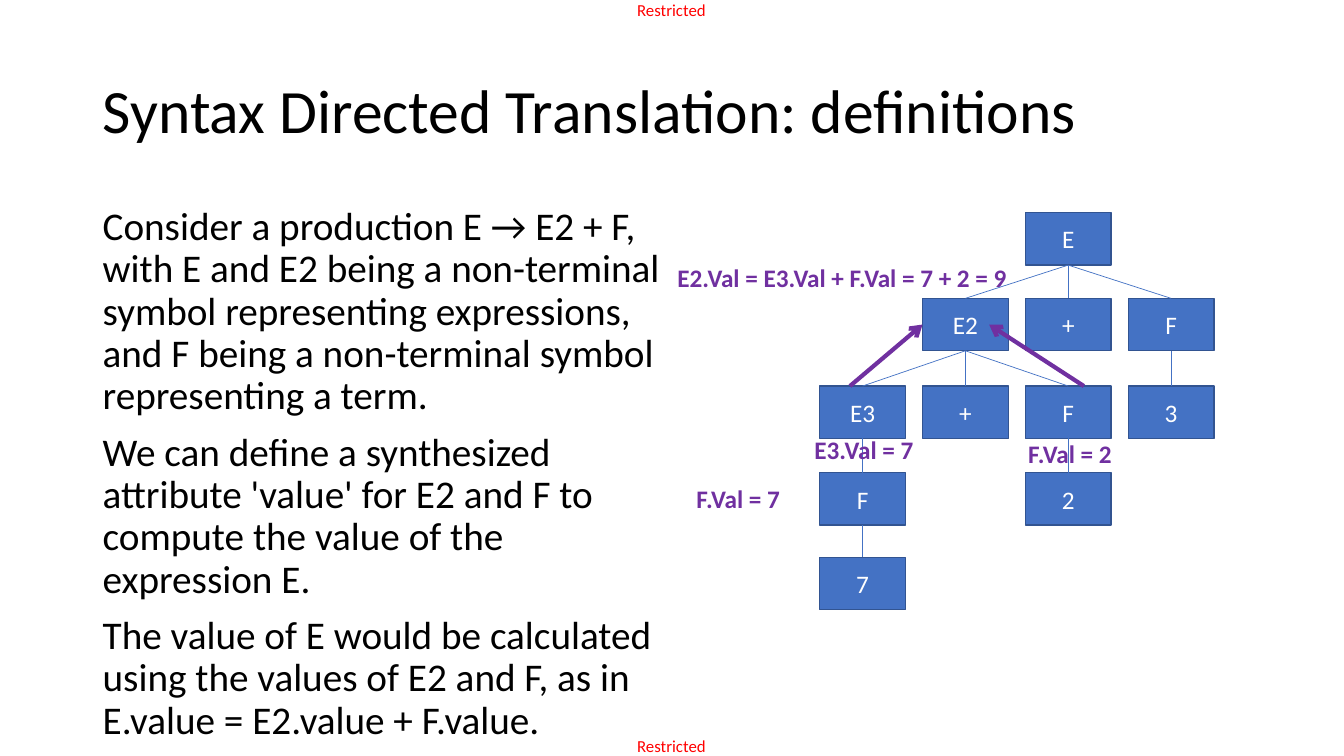
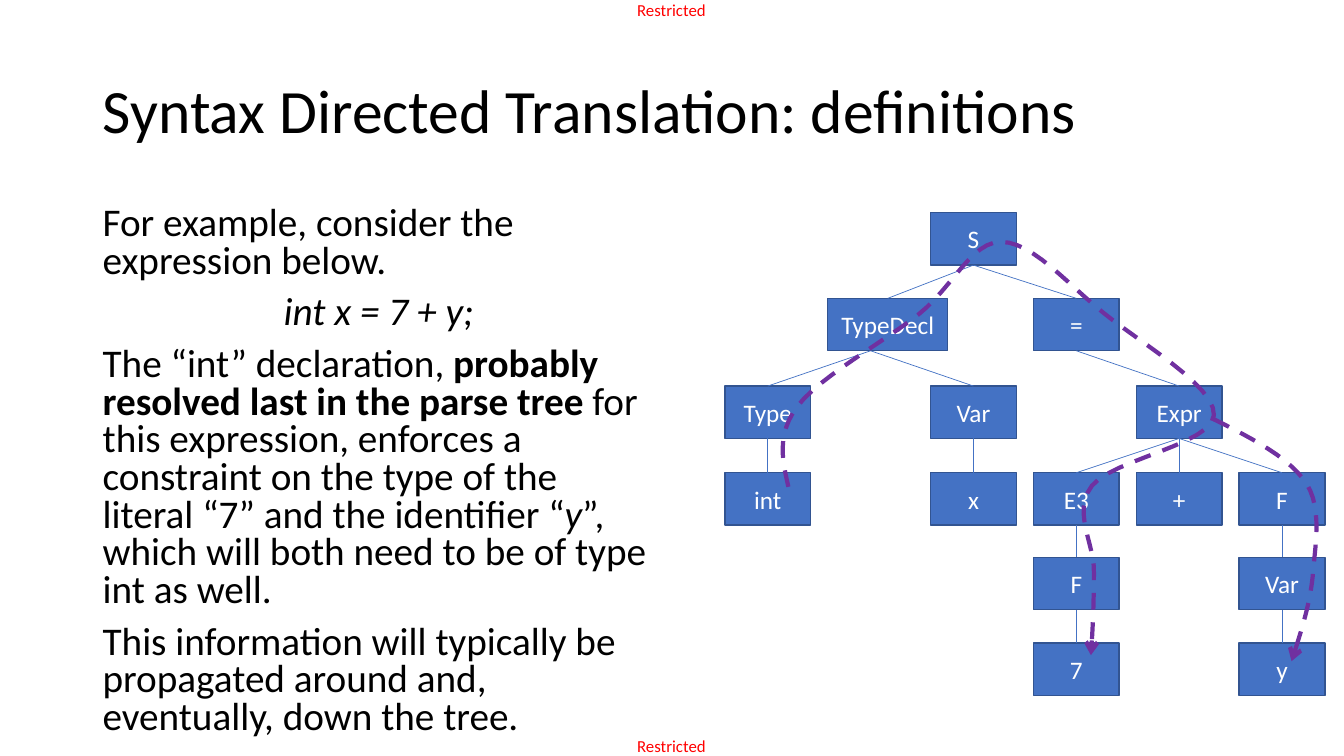
from lxml import etree
from pptx import Presentation, util as u
from pptx.dml.color import RGBColor
from pptx.enum import dml, shapes, text
from pptx.oxml.ns import qn

hues = {"ink": "000000", "node": "4472C4", "edge": "325491",
        "white": "FFFFFF", "flow": "7030A0", "red": "FF0000"}
left, mid = text.PP_ALIGN.LEFT, text.PP_ALIGN.CENTER
wide, high = 0.85, 0.52
step = 1.02
rows = [2.11, 2.96, 3.83, 4.69, 5.53, 6.38]
inch = u.Inches


def write(shape, paras, size, hue, align=left, space=1, gap=0, marks="", **frame):
    tf = shape.text_frame
    for key, val in frame.items():
        setattr(tf, key, val)
    for n, runs in enumerate(paras):
        para = tf.paragraphs[0] if n == 0 else tf.add_paragraph()
        form = {"alignment": align, "line_spacing": space,
                "space_before": u.Pt(gap if n else 0)}
        for key, val in form.items():
            setattr(para, key, val)
        for part in [(runs, marks)] if isinstance(runs, str) else runs:
            if part == mid:
                para.alignment = mid
                continue
            run = para.add_run()
            run.text = part[0]
            font = {"name": "Calibri", "size": u.Pt(size),
                    "bold": "b" in part[1], "italic": "i" in part[1]}
            for key, val in font.items():
                setattr(run.font, key, val)
            run.font.color.rgb = RGBColor.from_string(hues[hue])


def stroke(shape, hue, width, dash=None, arrow=False):
    shape.line.color.rgb = RGBColor.from_string(hues[hue])
    shape.line.width = u.Pt(width)
    if dash:
        shape.line.dash_style = dash
    props = shape.element.spPr
    if arrow:
        etree.SubElement(props.find(qn("a:ln")), qn("a:tailEnd"), type="arrow")
    if props.find(qn("a:effectLst")) is None:
        etree.SubElement(props, qn("a:effectLst"))


pages = [
    {"width": 5.88, "space": 0.9, "start": 8.13,
     "body": [
         "Consider a production E → E2 + F, with E and E2 being a non-terminal symbol representing expressions, and F being a non-terminal symbol representing a term.",
         "We can define a synthesized attribute 'value' for E2 and F to compute the value of the expression E.",
         "The value of E would be calculated using the values of E2 and F, as in E.value = E2.value + F.value."],
     "tree": [("E", 2, 0, None), ("E2", 1, 1, 0), ("+", 2, 1, 0), ("F", 3, 1, 0),
              ("E3", 0, 2, 1), ("+", 1, 2, 1), ("F", 2, 2, 1), ("3", 3, 2, 3),
              ("F", 0, 3, 4), ("7", 0, 4, 8), ("2", 2, 3, 6)],
     "rises": [((10.75, 3.83), (9.81, 3.22), None),
               ((8.43, 3.83), (9.15, 3.22), 1)],
     "notes": [("F.Val = 7", 6.81, 4.75, 1.03), ("F.Val = 2", 10.1, 4.3, 1.03),
               ("E3.Val = 7", 7.98, 4.26, 1.4),
               ("E2.Val = E3.Val + F.Val = 7 + 2 = 9", 6.62, 2.55, 3.62)],
     "curves": []},
    {"width": 5.67, "space": 0.8, "start": 7.19,
     "body": [
         "For example, consider the expression below.",
         [mid, ("int x = 7 + y;", "i")],
         [("The “int” declaration, ", ""),
          ("probably resolved last in the parse tree ", "b"),
          ("for this expression, enforces a constraint on the type of the literal “7” and the identifier “", ""),
          ("y", "i"),
          ("”, which will both need to be of type int as well.", "")],
         "This information will typically be propagated around and, eventually, down the tree."],
     "tree": [("S", 2, 0, None), ("TypeDecl", 1, 1, 0), ("=", 3, 1, 0),
              ("Type", 0, 2, 1), ("Var", 2, 2, 1), ("int", 0, 3, 3), ("x", 2, 3, 4),
              ("Expr", 4, 2, 2), ("E3", 3, 3, 7), ("+", 4, 3, 7), ("F", 5, 3, 7),
              ("F", 3, 4, 8), ("7", 3, 5, 11), ("Var", 5, 4, 10), ("y", 5, 5, 13)],
     "rises": [],
     "notes": [],
     "curves": [
         [(7.82, 4.83), (7.76, 4.57), (7.7, 4.31), (7.91, 4.03),
          (8.13, 3.74), (8.77, 3.39), (9.11, 3.12),
          (9.45, 2.85), (9.63, 2.4), (9.93, 2.4),
          (10.24, 2.4), (10.59, 2.82), (10.94, 3.1),
          (11.29, 3.39), (12.06, 3.83), (12.04, 4.12),
          (12.02, 4.41), (11.03, 4.56), (10.83, 4.82),
          (10.63, 5.08), (10.86, 5.4), (10.85, 5.68),
          (10.85, 5.96), (10.84, 6.23), (10.82, 6.5)],
         [(12.04, 4.16), (12.42, 4.35), (12.79, 4.54), (12.96, 4.8),
          (13.12, 5.06), (13.04, 5.43), (13.02, 5.72),
          (12.99, 6.01), (12.9, 6.28), (12.81, 6.56)]]},
]

prs = Presentation()
prs.slide_width, prs.slide_height = inch(13.33), inch(7.5)
bare = {"margin_left": 0, "margin_top": 0, "margin_right": 0, "margin_bottom": 0}

for page in pages:
    slide = prs.slides.add_slide(prs.slide_layouts[5])
    pool = slide.shapes
    if page is pages[0]:
        for top in (0, 7.3):
            band = pool.add_textbox(inch(6.32), inch(top), inch(0.73), inch(0.2))
            write(band, ["Restricted"], 12, "red", word_wrap=False, **bare)
            prs.slide_master.shapes.element.append(band.element)

    title = pool.title
    place = {"left": 0.92, "top": 0.4, "width": 11.5, "height": 1.45}
    for key, val in place.items():
        setattr(title, key, inch(val))
    write(title, ["Syntax Directed Translation: definitions"], 44, "ink", space=0.9,
          vertical_anchor=text.MSO_ANCHOR.MIDDLE, auto_size=text.MSO_AUTO_SIZE.NONE)

    body = pool.add_textbox(inch(0.92), inch(2), inch(page["width"]), inch(5.5))
    write(body, page["body"], 28, "ink", space=page["space"], gap=10, word_wrap=True)

    nodes = []
    for label, col, row, root in page["tree"]:
        span = 1.19 if label == "TypeDecl" else wide
        node = pool.add_shape(shapes.MSO_SHAPE.RECTANGLE, inch(page["start"] + col * step),
                              inch(rows[row]), inch(span), inch(high))
        node.fill.solid()
        node.fill.fore_color.rgb = RGBColor.from_string(hues["node"])
        node.shadow.inherit = False
        stroke(node, "edge", 1)
        write(node, [label], 18, "white", align=mid, word_wrap=True,
              vertical_anchor=text.MSO_ANCHOR.MIDDLE)
        nodes.append(node)

    for child, (label, col, row, root) in zip(nodes, page["tree"]):
        if root is None:
            continue
        base = nodes[root]
        foot = base.left + inch(wide / 2), base.top + base.height
        link = pool.add_connector(shapes.MSO_CONNECTOR.STRAIGHT, *foot, *foot)
        if base.width == inch(wide):
            link.begin_connect(base, 2)
        link.end_connect(child, 0)
        stroke(link, "node", 0.5)

    for tail, tip, side in page["rises"]:
        rise = pool.add_connector(shapes.MSO_CONNECTOR.STRAIGHT,
                                  *map(inch, tail + tip))
        if side is not None:
            rise.end_connect(nodes[1], side)
        stroke(rise, "flow", 3, arrow=True)

    for label, x, y, span in page["notes"]:
        note = pool.add_textbox(inch(x), inch(y), inch(span), inch(0.4))
        write(note, [label], 18, "flow", marks="b", word_wrap=False)

    for curve in page["curves"]:
        dots = []
        for n in range(0, len(curve) - 1, 3):
            for k in range(1, 13):
                t = k / 12
                mix = ((1 - t) ** 3, 3 * t * (1 - t) ** 2, 3 * t * t * (1 - t), t ** 3)
                dots.append([inch(sum(m * p[axis] for m, p in zip(mix, curve[n:n + 4])))
                             for axis in (0, 1)])
        pen = pool.build_freeform(*map(inch, curve[0]))
        pen.add_line_segments(dots, close=False)
        route = pen.convert_to_shape()
        route.fill.background()
        route.shadow.inherit = False
        stroke(route, "flow", 3, dash=dml.MSO_LINE.DASH, arrow=True)

prs.save("out.pptx")
